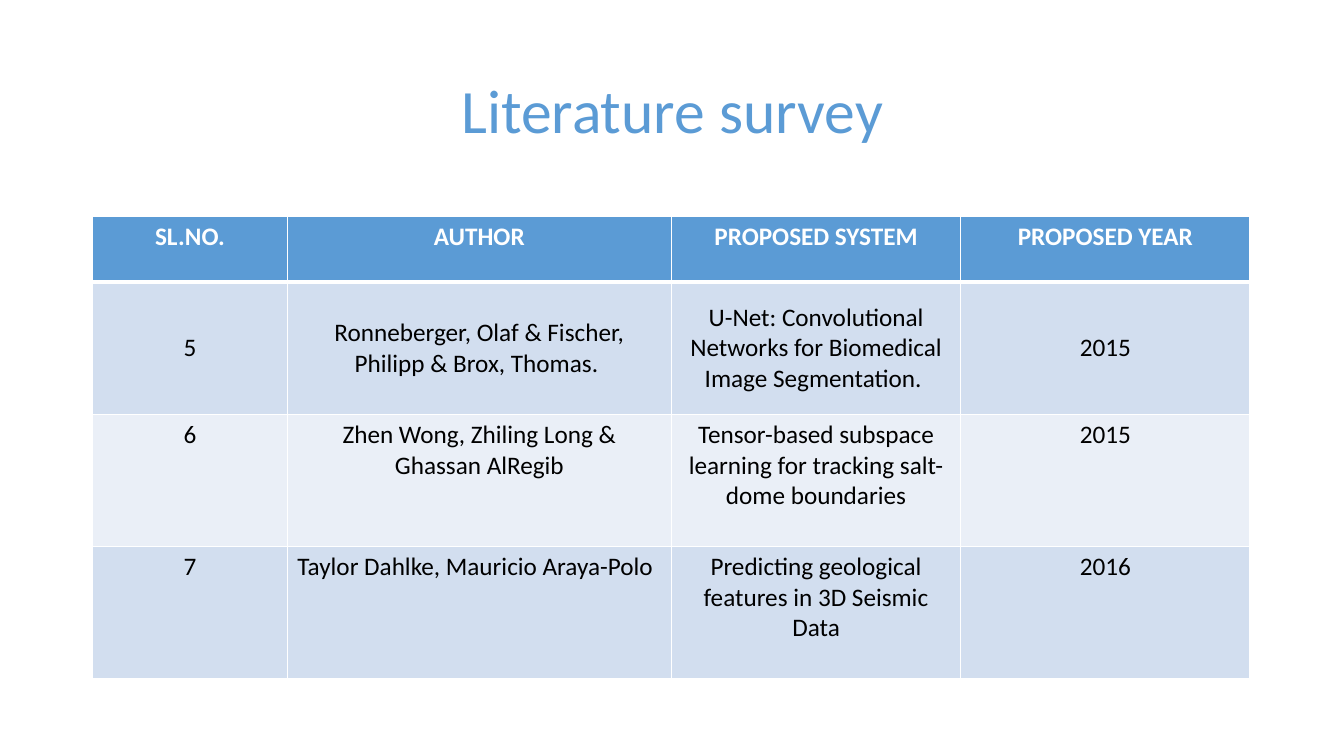
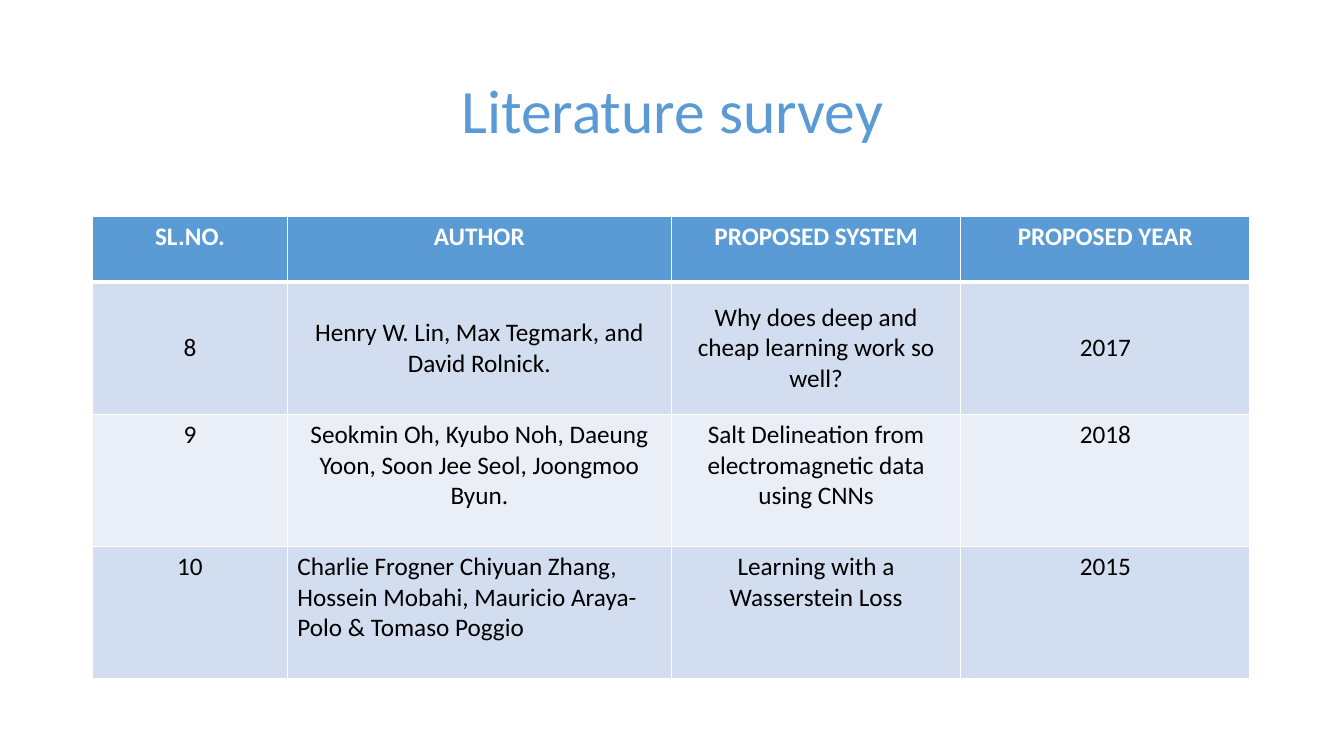
from dataclasses import dataclass
from typing import Any

from lxml.etree import SubElement
from pptx import Presentation
from pptx.dml.color import RGBColor
from pptx.enum.text import MSO_ANCHOR, PP_ALIGN
from pptx.oxml.ns import qn
from pptx.util import Inches, Pt

SLIDE_WIDTH = Inches(13.33)
SLIDE_HEIGHT = Inches(7.5)
BLUE, WHITE, BLACK = "5B9BD5", "FFFFFF", "000000"
BANDS = ("D2DEEF", "EAEFF7")
FONT = "Calibri"

LEFT_PERCENT = 6.9
TITLE_TOP, TITLE_WIDTH, TITLE_HEIGHT = 5.33, 86.25, 19.33
TABLE_TOP = 28.67
COLUMN_PERCENTS = (14.48, 28.58, 21.53, 21.53)
HEADER_PERCENT, ENTRY_PERCENT = 8.67, 17.47

TITLE_TEXT = "Literature survey"
HEADINGS = ("SL.NO.", "AUTHOR", "PROPOSED SYSTEM", "PROPOSED YEAR")
TITLE_FONT = {"name": FONT, "size": Pt(44), "bold": False}
HEADER_FONT = {"name": FONT, "size": Pt(18), "bold": True}
ENTRY_FONT = {"name": FONT, "size": Pt(18), "bold": False}
THIN_BORDER, THICK_BORDER = 1, 3


@dataclass(frozen=True)
class Entry:
    number: int
    author: str
    system: str
    year: int
    anchor: MSO_ANCHOR = MSO_ANCHOR.TOP
    author_alignment: PP_ALIGN = PP_ALIGN.CENTER

    def texts(self) -> tuple[str, ...]:
        return str(self.number), self.author, self.system, str(self.year)

    def alignments(self) -> tuple[PP_ALIGN, ...]:
        return PP_ALIGN.CENTER, self.author_alignment, PP_ALIGN.CENTER, PP_ALIGN.CENTER


SURVEYS = (
    (
        Entry(5, "Ronneberger, Olaf & Fischer, Philipp & Brox, Thomas. ",
              "U-Net: Convolutional Networks for Biomedical Image Segmentation. ",
              2015, MSO_ANCHOR.MIDDLE),
        Entry(6, "Zhen Wong, Zhiling Long & Ghassan AlRegib",
              "Tensor-based subspace learning for tracking salt-dome boundaries", 2015),
        Entry(7, "Taylor Dahlke, Mauricio Araya-Polo",
              "Predicting geological features in 3D Seismic Data",
              2016, author_alignment=PP_ALIGN.LEFT),
    ),
    (
        Entry(8, "Henry W. Lin, Max Tegmark, and David Rolnick.",
              "Why does deep and cheap learning work so well?", 2017, MSO_ANCHOR.MIDDLE),
        Entry(9, "Seokmin Oh, Kyubo Noh, Daeung Yoon, Soon Jee Seol, Joongmoo Byun.",
              "Salt Delineation from electromagnetic data using CNNs", 2018),
        Entry(10, "Charlie Frogner Chiyuan Zhang, Hossein Mobahi, Mauricio Araya-Polo "
              "& Tomaso Poggio",
              "Learning with a Wasserstein Loss", 2015, author_alignment=PP_ALIGN.LEFT),
    ),
)


def color(value: str) -> RGBColor:
    return RGBColor.from_string(value)


def across(percent: float) -> int:
    return round(SLIDE_WIDTH * percent / 100)


def down(percent: float) -> int:
    return round(SLIDE_HEIGHT * percent / 100)


def apply(target: Any, values: dict[str, Any]) -> None:
    for name, value in values.items():
        setattr(target, name, value)


def write(text_frame: Any, text: str, font: dict[str, Any], text_color: str,
          alignment: PP_ALIGN = PP_ALIGN.CENTER) -> None:
    paragraph = text_frame.paragraphs[0]
    paragraph.alignment = alignment
    run = paragraph.add_run()
    run.text = text
    apply(run.font, font)
    run.font.color.rgb = color(text_color)


def add_borders(cell: Any, top: int, bottom: int) -> None:
    properties = cell._tc.get_or_add_tcPr()
    widths = {"a:lnL": THIN_BORDER, "a:lnR": THIN_BORDER, "a:lnT": top, "a:lnB": bottom}
    for tag, width in widths.items():
        line = SubElement(properties, qn(tag), w=str(Pt(width)))
        fill = SubElement(line, qn("a:solidFill"))
        SubElement(fill, qn("a:srgbClr"), val=WHITE)


def paint(cell: Any, fill_color: str, anchor: MSO_ANCHOR, top: int, bottom: int) -> None:
    cell.vertical_anchor = anchor
    add_borders(cell, top, bottom)
    cell.fill.solid()
    cell.fill.fore_color.rgb = color(fill_color)


def add_title(slide: Any) -> None:
    title = slide.shapes.title
    apply(title, {"left": across(LEFT_PERCENT), "top": down(TITLE_TOP),
                  "width": across(TITLE_WIDTH), "height": down(TITLE_HEIGHT)})
    title.text_frame.vertical_anchor = MSO_ANCHOR.MIDDLE
    write(title.text_frame, TITLE_TEXT, TITLE_FONT, BLUE)
    title.text_frame.paragraphs[0].line_spacing = 0.9


def add_survey_table(slide: Any, entries: tuple[Entry, ...]) -> None:
    row_percents = (HEADER_PERCENT,) + (ENTRY_PERCENT,) * len(entries)
    table = slide.shapes.add_table(
        len(row_percents), len(HEADINGS), across(LEFT_PERCENT), down(TABLE_TOP),
        across(sum(COLUMN_PERCENTS)), down(sum(row_percents))).table
    for column, percent in zip(table.columns, COLUMN_PERCENTS):
        column.width = across(percent)
    for row, percent in zip(table.rows, row_percents):
        row.height = down(percent)
    for cell, heading in zip(table.rows[0].cells, HEADINGS):
        paint(cell, BLUE, MSO_ANCHOR.TOP, THIN_BORDER, THICK_BORDER)
        write(cell.text_frame, heading, HEADER_FONT, WHITE)
    for index, entry in enumerate(entries):
        top = THIN_BORDER if index else THICK_BORDER
        cells = table.rows[index + 1].cells
        for cell, text, alignment in zip(cells, entry.texts(), entry.alignments()):
            paint(cell, BANDS[index % len(BANDS)], entry.anchor, top, THIN_BORDER)
            write(cell.text_frame, text, ENTRY_FONT, BLACK, alignment)


def main() -> None:
    presentation = Presentation()
    apply(presentation, {"slide_width": SLIDE_WIDTH, "slide_height": SLIDE_HEIGHT})
    title_only = presentation.slide_layouts.get_by_name("Title Only")
    for entries in SURVEYS:
        slide = presentation.slides.add_slide(title_only)
        add_title(slide)
        add_survey_table(slide, entries)
    presentation.save("out.pptx")


if __name__ == "__main__":
    main()
